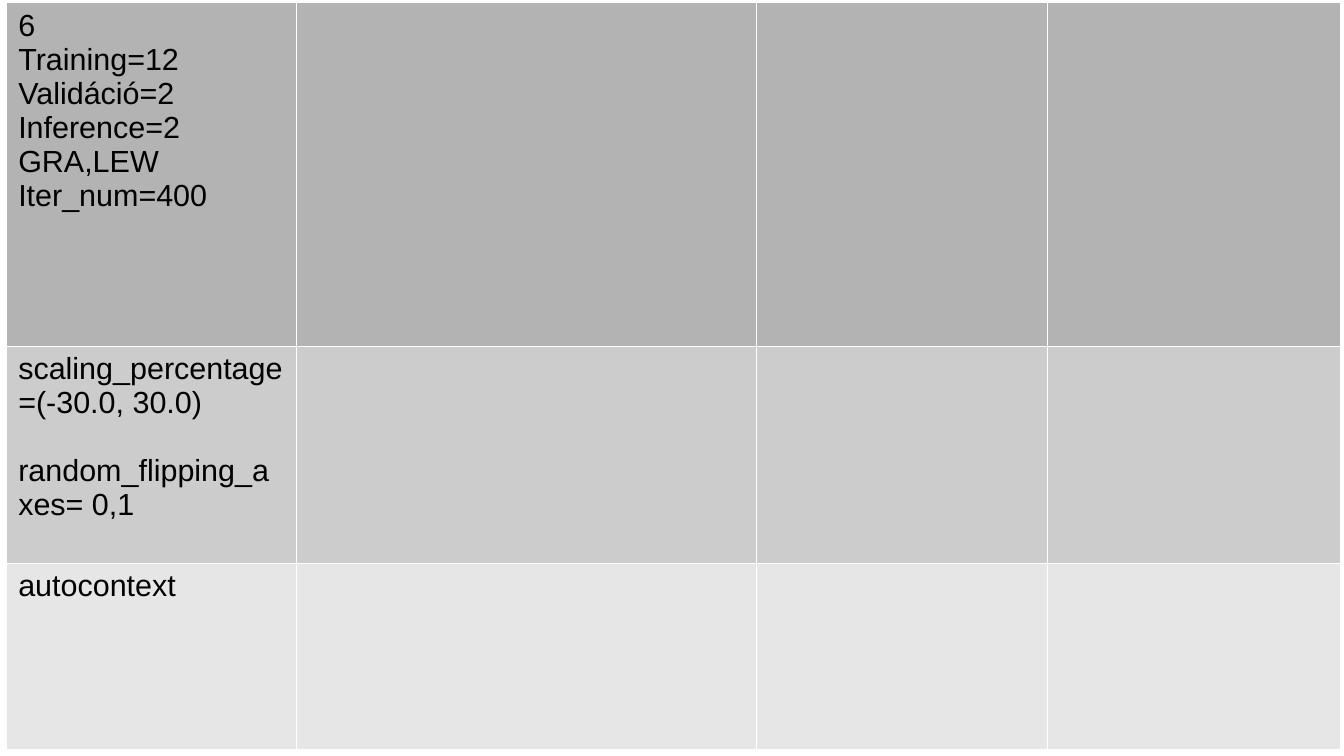
from lxml.etree import SubElement as Sub
from pptx import Presentation as Deck
from pptx.dml.color import RGBColor as Rgb
from pptx.oxml.ns import qn
from pptx.util import Inches as In, Pt

WIDE, HIGH = 11.02, 6.2
COLS = [2.38, 3.77, 2.39, 2.4]
ROWS = [
    (2.81, "B3B3B3", ["6", "Training=12", "Validáció=2", "Inference=2",
                      "GRA,LEW", "Iter_num=400"], 0),
    (1.78, "CCCCCC", ["scaling_percentage=(-30.0, 30.0)",
                      "random_flipping_axes= 0,1"], 20),
    (1.52, "E6E6E6", ["autocontext"], 0),
]
FONT = {"name": "Arial", "size": Pt(18), "bold": False}
INSET = {"margin_left": In(0.1), "margin_right": In(0.1),
         "margin_top": In(0.05), "margin_bottom": In(0.05)}


def color(code):
    return Rgb.from_string(code)


def style(item, form):
    for key, value in form.items():
        setattr(item, key, value)


def paint(cell, code):
    style(cell, INSET)
    props = cell._tc.get_or_add_tcPr()
    for side in "LRTB":
        line = Sub(props, qn(f"a:ln{side}"), w=str(Pt(0.06)))
        fill = Sub(line, qn("a:solidFill"))
        Sub(fill, qn("a:srgbClr"), val="FFFFFF")
    cell.fill.solid()
    cell.fill.fore_color.rgb = color(code)


def write(cell, lines, gap):
    frame = cell.text_frame
    frame.text = "\n".join(lines)
    for num, para in enumerate(frame.paragraphs):
        style(para.font, FONT)
        para.font.color.rgb = color("000000")
        if num and gap:
            para.space_before = Pt(gap)


def add_grid(slide, left, top, width, height):
    frame = slide.shapes.add_table(len(ROWS), len(COLS), In(left), In(top),
                                   In(width), In(height))
    table = frame.table
    style(table, {"first_row": False, "horz_banding": False})
    for col, share in zip(table.columns, COLS):
        col.width = In(width * share / sum(COLS))
    total = sum(row[0] for row in ROWS)
    for row, (share, code, lines, gap) in zip(table.rows, ROWS):
        row.height = In(height * share / total)
        for cell in row.cells:
            paint(cell, code)
        write(row.cells[0], lines, gap)


def main():
    deck = Deck()
    style(deck, {"slide_width": In(WIDE), "slide_height": In(HIGH)})
    slide = deck.slides.add_slide(deck.slide_layouts[6])
    add_grid(slide, 0.05, 0.02, 10.94, 6.12)
    deck.save("out.pptx")


if __name__ == "__main__":
    main()
